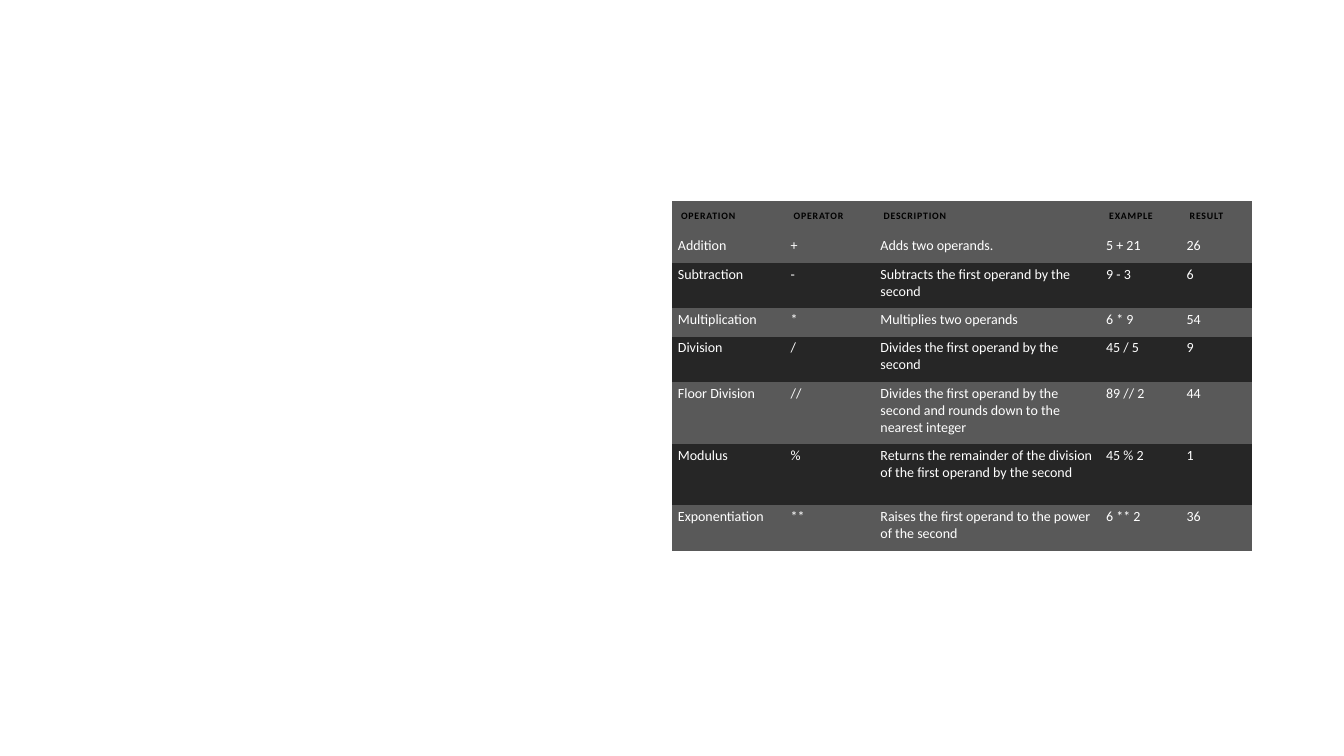
from pptx import Presentation
from pptx.dml.color import RGBColor
from pptx.oxml.ns import qn
from pptx.util import Pt

BLACK = RGBColor(0x00, 0x00, 0x00)
WHITE = RGBColor(0xFF, 0xFF, 0xFF)
GREY = RGBColor(0x59, 0x59, 0x59)
DARK = RGBColor(0x26, 0x26, 0x26)
PLAIN_TABLE_STYLE = "{2D5ABB26-0587-4C30-8999-92F81FD0307C}"

COL_WIDTHS = [80.5, 64.2, 161.2, 57.5, 51]
ROW_HEIGHTS = [23.8, 20.3, 32.4, 20.3, 32.4, 44.1, 44.1, 32.4]
HEADERS = ["OPERATION", "OPERATOR", "DESCRIPTION", "EXAMPLE", "RESULT"]
OPERATIONS = [
    ["Addition", "+", "Adds two operands.", "5 + 21", "26"],
    ["Subtraction", "-", "Subtracts the first operand by the second", "9 - 3", "6"],
    ["Multiplication", "*", "Multiplies two operands", "6 * 9", "54"],
    ["Division", "/", "Divides the first operand by the second", "45 / 5", "9"],
    ["Floor Division", "//",
     "Divides the first operand by the second and rounds down to the nearest integer",
     "89 // 2", "44"],
    ["Modulus", "%",
     "Returns the remainder of the division of the first operand by the second",
     "45 % 2", "1"],
    ["Exponentiation", "**", "Raises the first operand to the power of the second",
     "6 ** 2", "36"],
]


class SlideBuilder:
    font = "Calibri"

    def __init__(self, s):
        self.s = s

    def cell(self, cell, text, fill, size, color, margins, bold=False, spacing=0):
        """Fill one cell; margins run left, top, right, bottom."""
        cell.fill.solid()
        cell.fill.fore_color.rgb = fill
        (cell.margin_left, cell.margin_top,
         cell.margin_right, cell.margin_bottom) = map(Pt, margins)
        cell.text_frame.text = text
        r = cell.text_frame.paragraphs[0].runs[0]
        r.font.name = self.font
        r.font.size = Pt(size)
        r.font.bold = bold
        r.font.color.rgb = color
        if spacing:
            r.font._element.set("spc", str(round(spacing * 100)))

    def table(self, left, top, widths, heights, headers, body):
        frame = self.s.shapes.add_table(
            len(heights), len(widths), Pt(left), Pt(top),
            Pt(sum(widths)), Pt(sum(heights)))
        table = frame.table
        table.horz_banding = False
        table._tbl.tblPr.find(qn("a:tableStyleId")).text = PLAIN_TABLE_STYLE
        for column, width in zip(table.columns, widths):
            column.width = Pt(width)
        for row, height in zip(table.rows, heights):
            row.height = Pt(height)
        for c, text in enumerate(headers):
            self.cell(table.cell(0, c), text, GREY, 7, BLACK,
                      (6.5, 6.5, 6.5, 6.5), bold=True, spacing=0.6)
        for r, values in enumerate(body, 1):
            fill = GREY if r % 2 else DARK
            for c, text in enumerate(values):
                self.cell(table.cell(r, c), text, fill, 10, WHITE,
                          (4.3, 2.2, 4.3, 4.3))


def main():
    prs = Presentation()
    prs.slide_width, prs.slide_height = Pt(960), Pt(540)
    s = prs.slides.add_slide(prs.slide_layouts[6])
    SlideBuilder(s).table(480, 143.7, COL_WIDTHS, ROW_HEIGHTS, HEADERS, OPERATIONS)
    prs.save("out.pptx")


if __name__ == "__main__":
    main()
